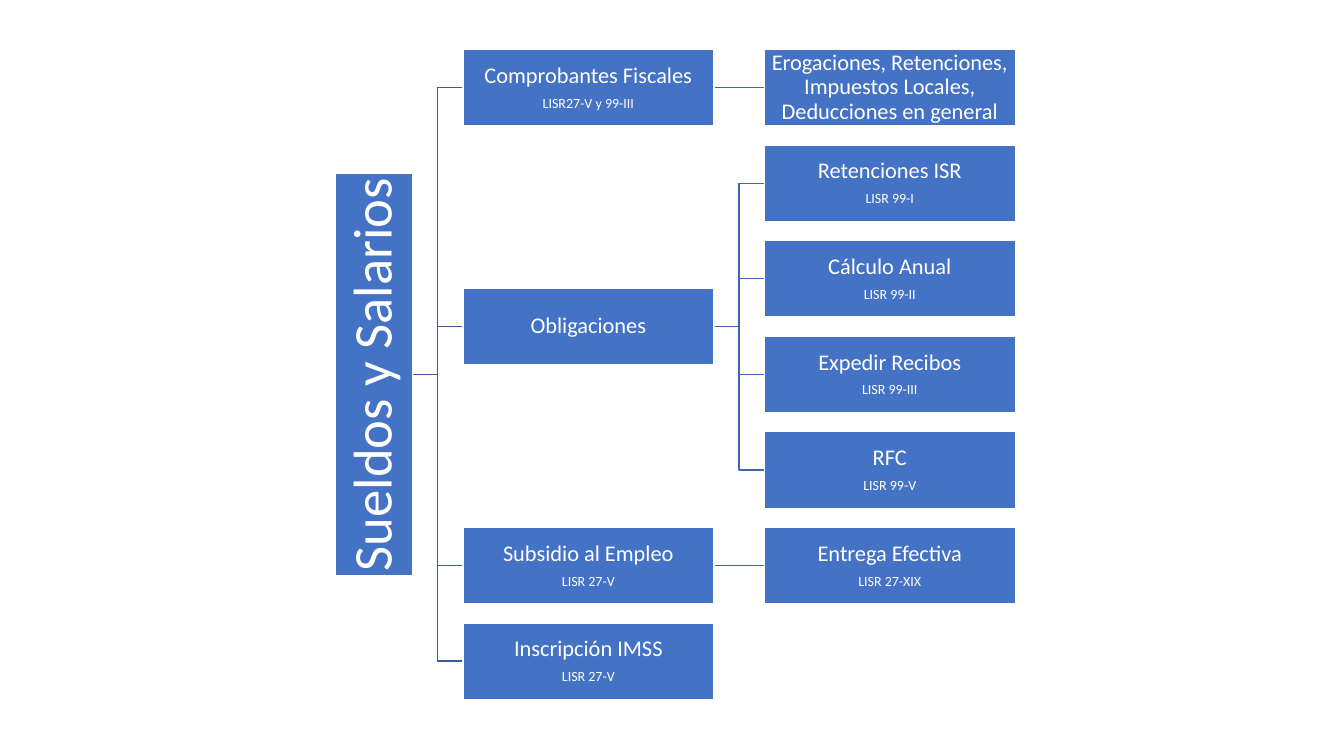
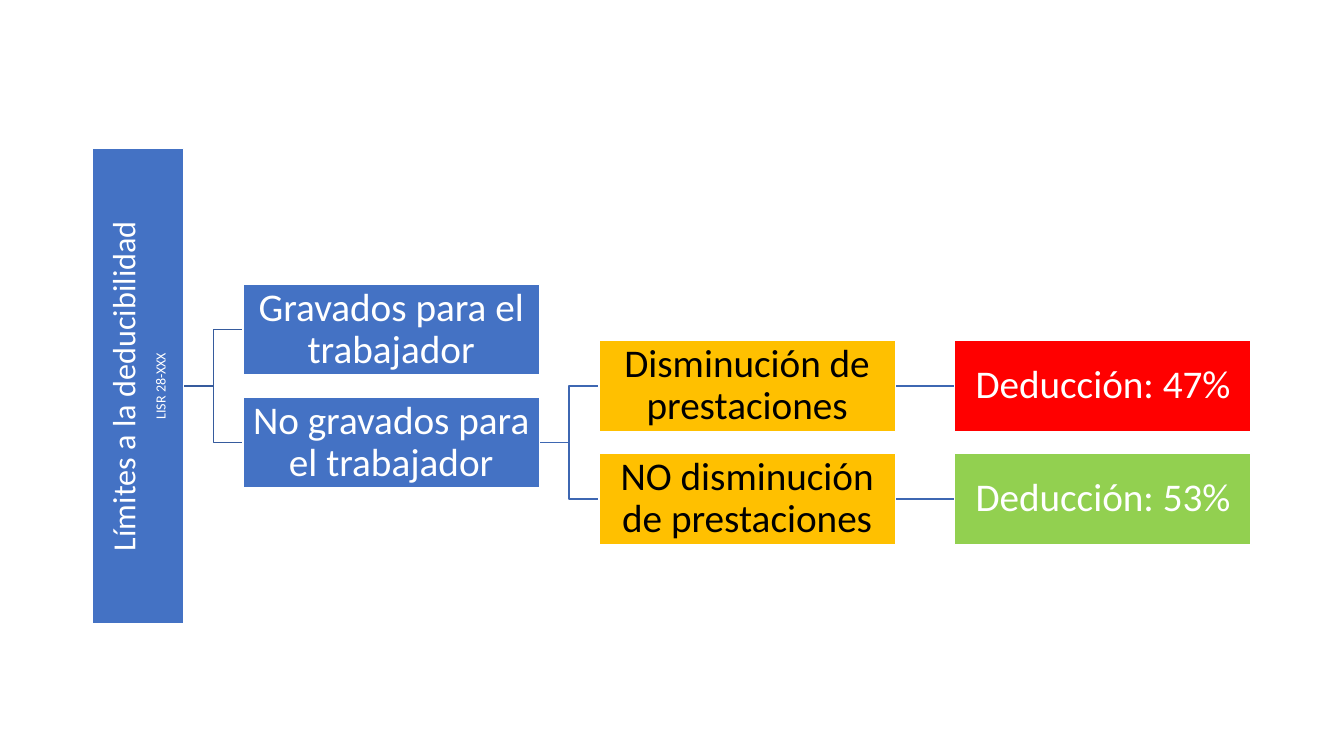
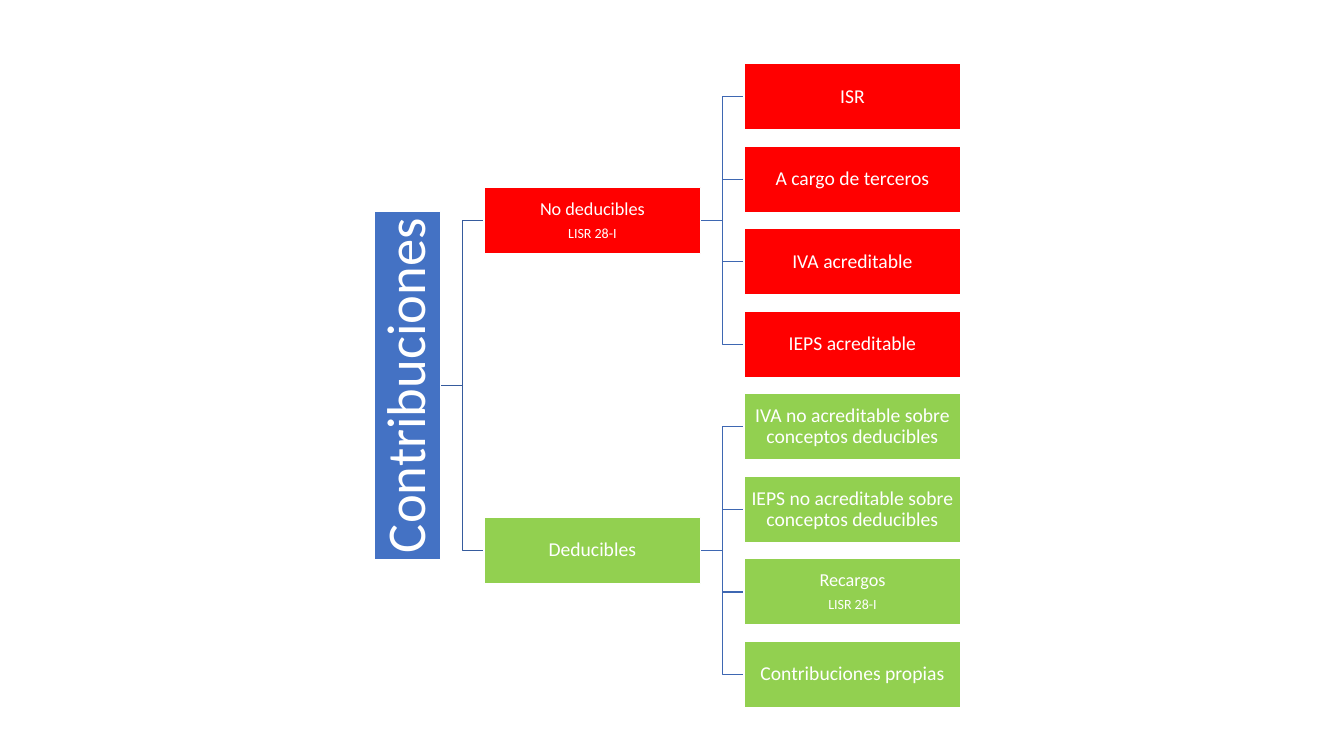
from pptx import Presentation
from pptx.dml.color import RGBColor
from pptx.enum.shapes import MSO_CONNECTOR, MSO_SHAPE
from pptx.enum.text import MSO_ANCHOR, PP_ALIGN
from pptx.oxml.ns import qn
from pptx.util import Inches, Pt
from lxml.etree import SubElement

COLORS = {
    "blue": "4472C4",
    "red": "FF0000",
    "green": "92D050",
    "amber": "FFC000",
    "white": "FFFFFF",
    "black": "000000",
    "root_link": "365B9D",
    "branch_link": "3E67B2",
}
FONT = "Calibri"
CITATION_SIZE = 10

# Each branch: column, row, parent row, fill, name, citation
TREES = [
    {
        "root": ("Sueldos y Salarios", ""), "root_row": 3, "root_length": 4,
        "root_size": 39, "root_inset": 0.03,
        "left": 4.59, "width": 2.49, "height": 0.76, "gap": 0.5,
        "first": 0.87, "last": 6.56, "last_row": 6,
        "size": 16, "cited_size": 16, "inset": 0.01,
        "branches": [
            (0, 0, 3, "blue", "Comprobantes Fiscales", "LISR27-V y 99-III"),
            (1, 0, 0, "blue", "Erogaciones, Retenciones, Impuestos Locales, Deducciones en general", ""),
            (0, 2.5, 3, "blue", "Obligaciones", ""),
            (1, 1, 2.5, "blue", "Retenciones ISR", "LISR 99-I"),
            (1, 2, 2.5, "blue", "Cálculo Anual", "LISR 99-II"),
            (1, 3, 2.5, "blue", "Expedir Recibos", "LISR 99-III"),
            (1, 4, 2.5, "blue", "RFC", "LISR 99-V"),
            (0, 5, 3, "blue", "Subsidio al Empleo", "LISR 27-V"),
            (1, 5, 5, "blue", "Entrega Efectiva", "LISR 27-XIX"),
            (0, 6, 3, "blue", "Inscripción IMSS", "LISR 27-V"),
        ],
    },
    {
        "root": ("Límites a la deducibilidad", "LISR 28-XXX"), "root_row": 0.5, "root_length": 4.72,
        "root_size": 23, "root_inset": 0.02,
        "left": 2.41, "width": 2.94, "height": 0.9, "gap": 0.59,
        "first": 3.27, "last": 4.95, "last_row": 1.5,
        "size": 28, "cited_size": 28, "inset": 0.02,
        "branches": [
            (0, 0, 0.5, "blue", "Gravados para el trabajador", ""),
            (0, 1, 0.5, "blue", "No gravados para el trabajador", ""),
            (1, 0.5, 1, "amber", "Disminución de prestaciones", ""),
            (2, 0.5, 0.5, "red", "Deducción: 47%", ""),
            (1, 1.5, 1, "amber", "NO disminución de prestaciones", ""),
            (2, 1.5, 1.5, "green", "Deducción: 53%", ""),
        ],
    },
    {
        "root": ("Contribuciones", ""), "root_row": 3.5, "root_length": 3.45,
        "root_size": 39, "root_inset": 0.03,
        "left": 4.8, "width": 2.15, "height": 0.66, "gap": 0.43,
        "first": 0.96, "last": 6.69, "last_row": 7,
        "size": 14, "cited_size": 13, "inset": 0.01,
        "branches": [
            (0, 1.5, 3.5, "red", "No deducibles", "LISR 28-I"),
            (1, 0, 1.5, "red", "ISR", ""),
            (1, 1, 1.5, "red", "A cargo de terceros", ""),
            (1, 2, 1.5, "red", "IVA acreditable", ""),
            (1, 3, 1.5, "red", "IEPS acreditable", ""),
            (0, 5.5, 3.5, "green", "Deducibles", ""),
            (1, 4, 5.5, "green", "IVA no acreditable sobre conceptos deducibles", ""),
            (1, 5, 5.5, "green", "IEPS no acreditable sobre conceptos deducibles", ""),
            (1, 6, 5.5, "green", "Recargos", "LISR 28-I"),
            (1, 7, 5.5, "green", "Contribuciones propias", ""),
        ],
    },
]


def add_link(slide, start_x, start_y, end_x, end_y, color):
    kind = MSO_CONNECTOR.STRAIGHT if start_y == end_y else MSO_CONNECTOR.ELBOW
    link = slide.shapes.add_connector(
        kind, Inches(start_x), Inches(start_y), Inches(end_x), Inches(end_y))
    link.line.color.rgb = RGBColor.from_string(COLORS[color])
    link.line.width = Pt(1)
    SubElement(link._element.spPr, qn("a:effectLst"))


def add_box(slide, center_x, center_y, width, height, fill, name, citation, size, inset):
    box = slide.shapes.add_shape(
        MSO_SHAPE.RECTANGLE, Inches(center_x - width / 2), Inches(center_y - height / 2),
        Inches(width), Inches(height))
    box.shadow.inherit = False
    box.fill.solid()
    box.fill.fore_color.rgb = RGBColor.from_string(COLORS[fill])
    box.line.color.rgb = RGBColor.from_string(COLORS["white"])
    box.line.width = Pt(1)
    frame = box.text_frame
    frame_format = {"word_wrap": True, "vertical_anchor": MSO_ANCHOR.MIDDLE}
    for side in ("left", "right", "top", "bottom"):
        frame_format[f"margin_{side}"] = Inches(inset)
    for attribute, value in frame_format.items():
        setattr(frame, attribute, value)
    frame.text = f"{name}\n{citation}" if citation else name
    ink = COLORS["black" if fill == "amber" else "white"]
    for paragraph, points in zip(frame.paragraphs, (size, CITATION_SIZE)):
        paragraph_format = {"alignment": PP_ALIGN.CENTER, "line_spacing": 0.9,
                            "space_after": Pt(points * 0.35)}
        for attribute, value in paragraph_format.items():
            setattr(paragraph, attribute, value)
        paragraph.font.name = FONT
        paragraph.font.size = Pt(points)
        paragraph.font.color.rgb = RGBColor.from_string(ink)
    return box


deck = Presentation()
deck.slide_width = Inches(13.33)
deck.slide_height = Inches(7.5)

for tree in TREES:
    slide = deck.slides.add_slide(deck.slide_layouts[6])
    width, height, gap = tree["width"], tree["height"], tree["gap"]
    first = tree["first"]
    pitch = (tree["last"] - first) / tree["last_row"]

    for column, row, parent_row, *_ in tree["branches"]:
        left = tree["left"] + column * (width + gap)
        add_link(slide, left - gap, first + parent_row * pitch, left, first + row * pitch,
                 "branch_link" if column else "root_link")

    root = add_box(slide, tree["left"] - gap - height / 2, first + tree["root_row"] * pitch,
                   tree["root_length"], height, "blue", *tree["root"],
                   tree["root_size"], tree["root_inset"])
    root.rotation = 270

    for column, row, _, fill, name, citation in tree["branches"]:
        center_x = tree["left"] + column * (width + gap) + width / 2
        size = tree["cited_size"] if citation else tree["size"]
        add_box(slide, center_x, first + row * pitch, width, height,
                fill, name, citation, size, tree["inset"])

deck.save("out.pptx")
